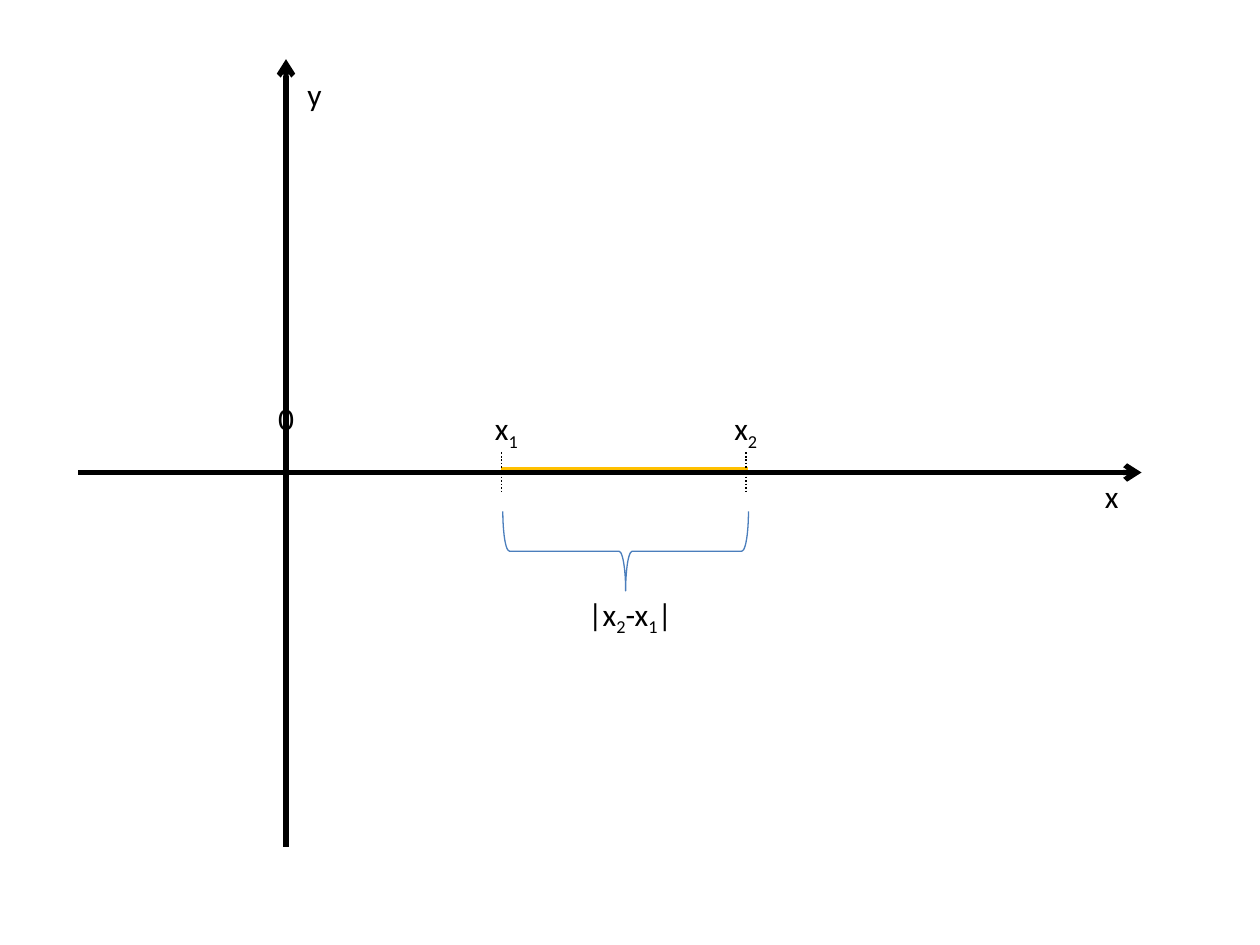
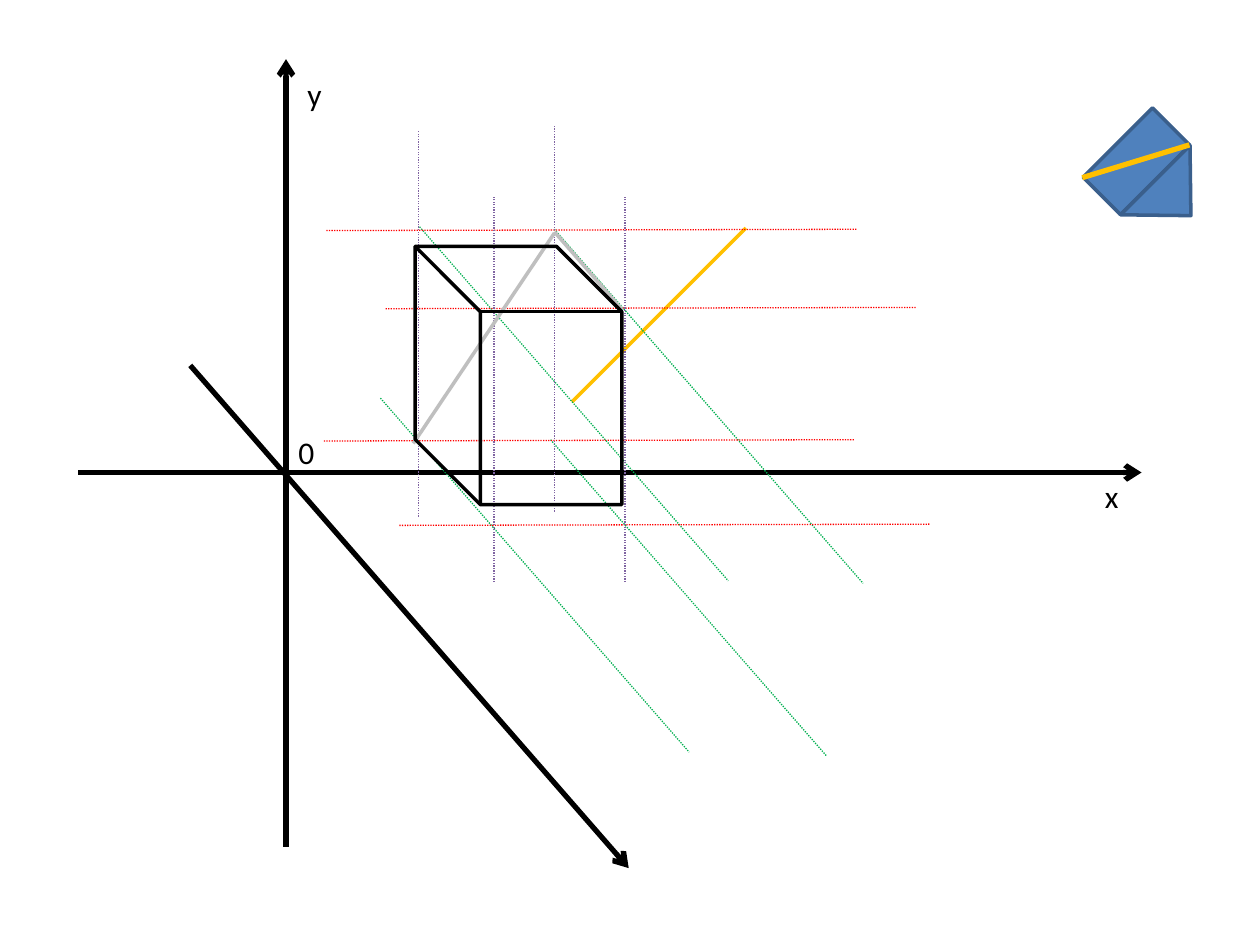
from dataclasses import dataclass
from typing import Optional

import pptx
import pptx.dml.color
import pptx.enum.dml
import pptx.enum.shapes
import pptx.enum.text
import pptx.oxml.ns
import pptx.util
from lxml import etree

Pt = pptx.util.Pt
RGBColor = pptx.dml.color.RGBColor
Shape = pptx.enum.shapes.MSO_SHAPE

BLACK = RGBColor(0x00, 0x00, 0x00)
GOLD = RGBColor(0xFF, 0xC0, 0x00)
RED = RGBColor(0xFF, 0x00, 0x00)
GREEN = RGBColor(0x00, 0xB0, 0x50)
PURPLE = RGBColor(0x80, 0x64, 0xA2)
GREY = RGBColor(0xBF, 0xBF, 0xBF)
BLUE = RGBColor(0x4F, 0x81, 0xBD)
DARK_BLUE = RGBColor(0x3A, 0x5F, 0x8C)
BRACE_BLUE = RGBColor(0x4B, 0x7E, 0xBC)

FONT = "Calibri"
LABEL_HEIGHT = 28.8
ORIGIN_X, ORIGIN_Y = 163.44, 270
TICK = 11.52  # half the length of a mark across the x axis


@dataclass(frozen=True)
class Stroke:
    color: RGBColor
    width: float
    dotted: bool = False
    arrow: bool = False


@dataclass(frozen=True)
class Guides:
    """Parallel dotted lines: each starts at a point and runs by one vector."""
    color: RGBColor
    run: tuple[float, float]
    starts: tuple[tuple[float, float], ...]


AXIS = Stroke(BLACK, 3, arrow=True)
EDGE = Stroke(BLACK, 2)
MARK = Stroke(BLACK, 1, dotted=True)
SEGMENT = Stroke(GOLD, 2)
SHADE = Stroke(GREY, 2)
SOLID_EDGE = Stroke(DARK_BLUE, 2)


def apply_stroke(line, stroke: Stroke) -> None:
    line.color.rgb = stroke.color
    line.width = Pt(stroke.width)
    if stroke.dotted:
        line.dash_style = pptx.enum.dml.MSO_LINE.ROUND_DOT


def add_line(page, start: tuple[float, float], end: tuple[float, float],
             stroke: Stroke) -> None:
    connector = page.shapes.add_connector(
        pptx.enum.shapes.MSO_CONNECTOR.STRAIGHT,
        Pt(start[0]), Pt(start[1]), Pt(end[0]), Pt(end[1]))
    apply_stroke(connector.line, stroke)
    qn = pptx.oxml.ns.qn
    properties = connector._element.spPr
    if stroke.arrow:
        etree.SubElement(properties.find(qn("a:ln")), qn("a:tailEnd"), type="arrow")
    etree.SubElement(properties, qn("a:effectLst"))


def add_guides(page, guides: Guides) -> None:
    stroke = Stroke(guides.color, 0.75, dotted=True)
    for x, y in guides.starts:
        add_line(page, (x, y), (x + guides.run[0], y + guides.run[1]), stroke)


def add_figure(page, kind, left: float, top: float, width: float, height: float,
               *, stroke: Stroke, rotation: float = 0,
               fill: Optional[RGBColor] = None):
    figure = page.shapes.add_shape(kind, Pt(left), Pt(top), Pt(width), Pt(height))
    figure.shadow.inherit = False
    figure.rotation = rotation
    if fill is None:
        figure.fill.background()
    else:
        figure.fill.solid()
        figure.fill.fore_color.rgb = fill
    apply_stroke(figure.line, stroke)
    return figure


def add_label(page, text: str, left: float, top: float, width: float, *,
              size: float = 18, color: RGBColor = BLACK) -> None:
    """Write a label; an underscore makes the next character a subscript."""
    box = page.shapes.add_textbox(Pt(left), Pt(top), Pt(width), Pt(LABEL_HEIGHT))
    frame = box.text_frame
    frame.word_wrap = False
    frame.auto_size = pptx.enum.text.MSO_AUTO_SIZE.SHAPE_TO_FIT_TEXT
    para = frame.paragraphs[0]
    first, *rest = text.split("_")
    pieces = [(first, False)]
    for part in rest:
        pieces += [(part[0], True), (part[1:], False)]
    for piece, subscript in pieces:
        if not piece:
            continue
        span = para.add_run()
        span.text = piece
        span.font.name = FONT
        span.font.size = Pt(size)
        span.font.color.rgb = color
        if subscript:
            span._r.get_or_add_rPr().set("baseline", "-25000")


def add_axes(page, zero_left: float, zero_top: float) -> None:
    add_line(page, (44.64, ORIGIN_Y), (652.32, ORIGIN_Y), AXIS)
    add_line(page, (ORIGIN_X, ORIGIN_Y - TICK), (ORIGIN_X, ORIGIN_Y + TICK), EDGE)
    add_label(page, "x", 624.24, 269.28, 22.32)
    add_label(page, "0", zero_left, zero_top, 23.76)
    add_line(page, (ORIGIN_X, 483.84), (ORIGIN_X, 33.84), AXIS)
    add_label(page, "y", 168.48, 39.6, 23.04)


def build_distance(page) -> None:
    """The distance between two points on the x axis."""
    add_axes(page, 151.92, 224.64)
    first, second = 286.56, 426.24
    add_line(page, (first, 267.84), (second + 1.44, 267.84), SEGMENT)
    for x, name, left in ((first, "x_1", 275.76), (second, "x_2", 412.56)):
        add_line(page, (x, ORIGIN_Y - TICK), (x, ORIGIN_Y + TICK), MARK)
        add_label(page, name, left, 230.4, 28.8)
    add_figure(page, Shape.RIGHT_BRACE, 334.8, 244.8, 45.36, 140.4,
               rotation=90, stroke=Stroke(BRACE_BLUE, 0.75))
    add_label(page, "|x_2-x_1|", 329.04, 336.24, 64.8)


def build_space(page) -> None:
    """A segment in space as the diagonal of a box."""
    add_axes(page, ORIGIN_X, 244.08)
    add_line(page, (326.88, 229.68), (426.24, 130.32), SEGMENT)
    add_line(page, (108.72, 208.8), (359.28, 496.08), AXIS)

    # Guides along the three axes
    for guides in (
        Guides(GREEN, (176.4, 202.32),
               ((217.44, 227.52), (316.8, 131.04), (239.76, 129.6))),
        Guides(GREEN, (157.68, 180.72), ((314.64, 251.28),)),
        Guides(RED, (303.12, -0.72),
               ((185.04, 252), (220.32, 176.4), (186.48, 131.76), (228.24, 300.24))),
        Guides(PURPLE, (0, -220.32),
               ((239.04, 295.2), (357.12, 332.64), (282.24, 332.64), (316.8, 292.32))),
    ):
        add_guides(page, guides)

    # Box with its shaded diagonals
    add_line(page, (316.8, 132.48), (355.68, 177.12), SHADE)
    add_line(page, (236.16, 253.44), (316.8, 133.2), SHADE)
    cube = add_figure(page, Shape.CUBE, 222.48, 155.52, 147.6, 118.08,
                      rotation=270, stroke=EDGE)
    cube.adjustments[0] = 0.316

    # Small solid figure with its diagonal
    add_figure(page, Shape.RECTANGLE, 621.36, 77.04, 56.16, 30.24,
               rotation=135, stroke=SOLID_EDGE, fill=BLUE)
    add_figure(page, Shape.ISOSCELES_TRIANGLE, 642.24, 98.64, 56.16, 28.8,
               rotation=135, stroke=SOLID_EDGE, fill=BLUE)
    add_line(page, (618.48, 101.52), (679.68, 82.8), Stroke(GOLD, 3))


def main() -> None:
    deck = pptx.Presentation()
    deck.slide_width, deck.slide_height = Pt(720), Pt(540)
    blank = deck.slide_layouts[6]
    for build in (build_distance, build_space):
        build(deck.slides.add_slide(blank))
    deck.save("out.pptx")


main()
